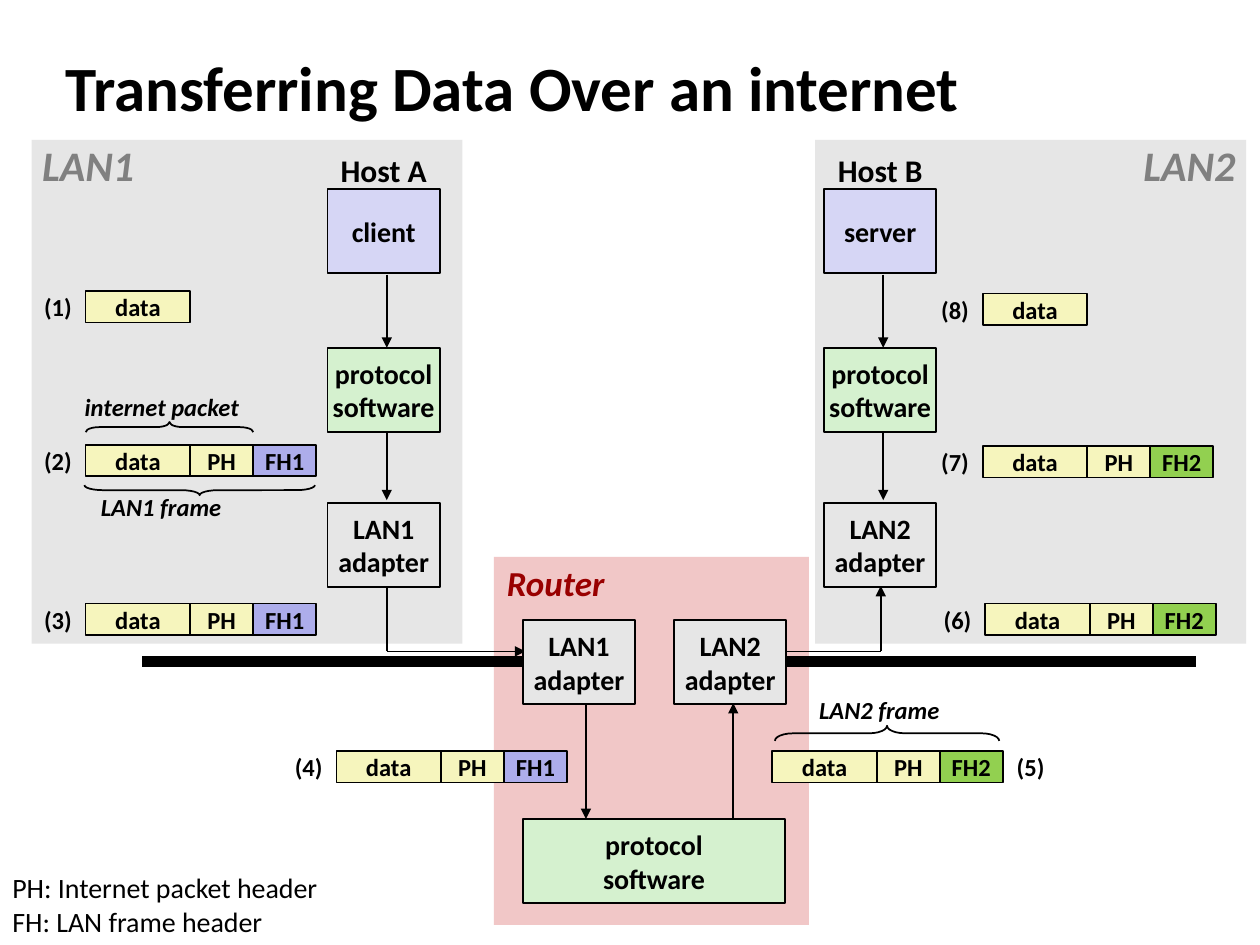
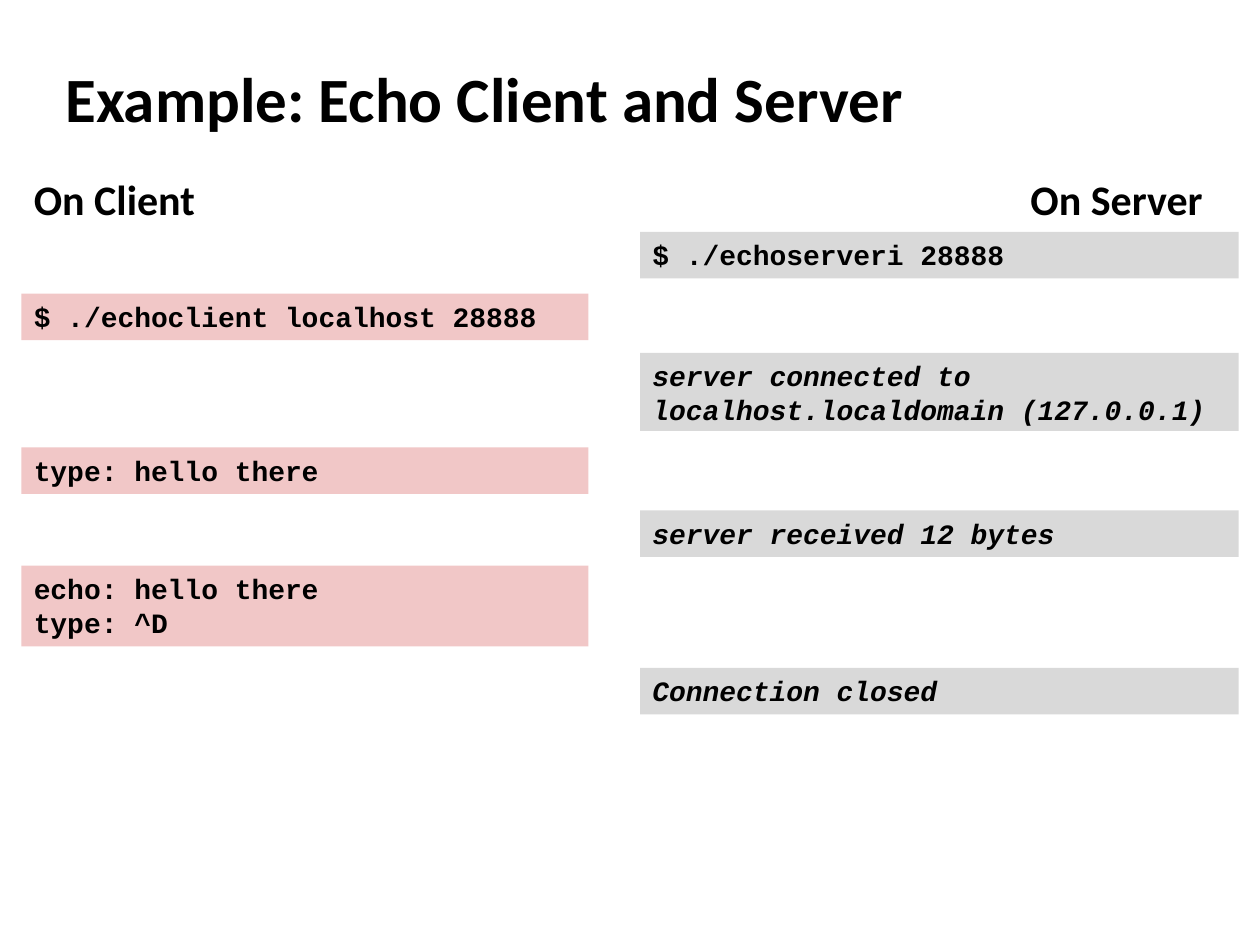
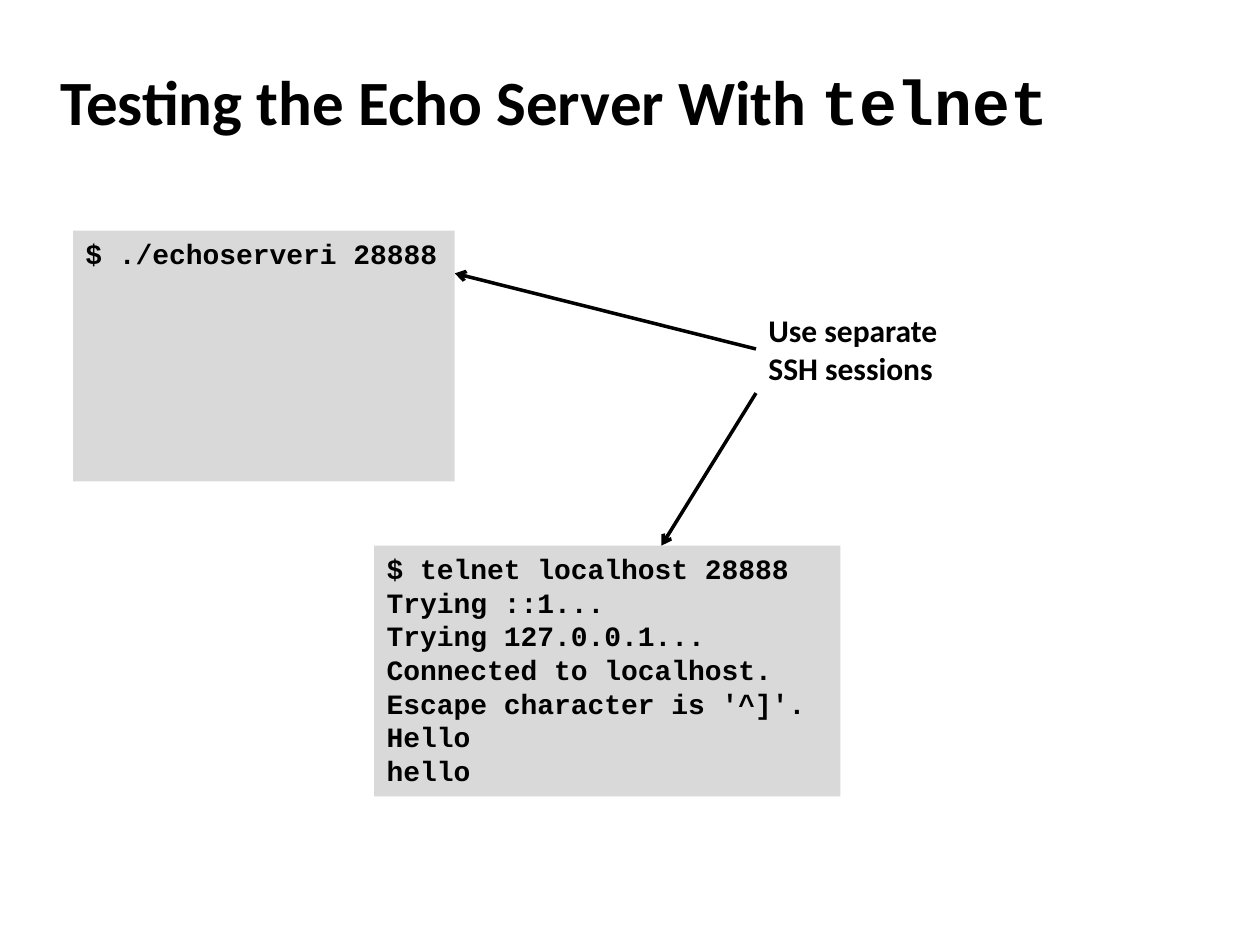
import pptx
import pptx.util
import pptx.dml.color
import pptx.enum.shapes
import pptx.enum.text
import pptx.oxml.ns
import lxml.etree

Inches = pptx.util.Inches
SHAPE = pptx.enum.shapes.MSO_SHAPE
ALIGN = pptx.enum.text.PP_ALIGN
ANCHOR = pptx.enum.text.MSO_ANCHOR

COLORS = {
    "black": "000000", "gray": "808080", "red": "990000",
    "panel": "E6E6E6", "shell": "D9D9D9", "pink": "F1C7C7",
    "app": "D6D6F5", "proto": "D5F1CF", "data": "F6F5BD",
    "FH1": "ADADEB", "FH2": "92D050",
}
SANS, MONO = "Calibri", "Courier New"
BOX_W, BOX_H = 0.89, 0.67
DATA_W, HEAD_W, CELL_H = 0.83, 0.5, 0.25
TAG_W, TAG_H = 0.44, 0.33


def color(name):
    """Look up a palette colour."""
    return pptx.dml.color.RGBColor.from_string(COLORS[name])


def write(shape, text, size, font=SANS, ink="black", bold=True, italic=False,
          align=ALIGN.CENTER, anchor=ANCHOR.MIDDLE, wrap=False):
    """Put text in a shape, one paragraph for each line."""
    frame = shape.text_frame
    frame.word_wrap = wrap
    frame.vertical_anchor = anchor
    frame.text = text
    for para in frame.paragraphs:
        para.alignment = align
        para.font.size = pptx.util.Pt(size)
        para.font.name = font
        para.font.bold = bold
        para.font.italic = italic
        para.font.color.rgb = color(ink)


def label(shapes, x, y, w, h, text, size, **style):
    """Add a text box."""
    box = shapes.add_textbox(Inches(x), Inches(y), Inches(w), Inches(h))
    write(box, text, size, **style)
    return box


def rect(shapes, x, y, w, h, fill, edge=False):
    """Add a filled rectangle, with or without a thin outline."""
    box = shapes.add_shape(SHAPE.RECTANGLE, Inches(x), Inches(y), Inches(w), Inches(h))
    box.shadow.inherit = False
    box.fill.solid()
    box.fill.fore_color.rgb = color(fill)
    if edge:
        box.line.color.rgb = color("black")
        box.line.width = pptx.util.Pt(1)
    else:
        box.line.fill.background()
    return box


def node(shapes, x, y, text, fill, w=BOX_W, h=BOX_H, size=16):
    """Add an outlined box with centred text."""
    write(rect(shapes, x, y, w, h, fill, edge=True), text, size)


def line(shapes, start, end, width=1, head=None):
    """Draw a straight line, with an arrowhead at its end if one is named."""
    link = shapes.add_connector(pptx.enum.shapes.MSO_CONNECTOR.STRAIGHT,
                                *map(Inches, (*start, *end)))
    link.line.color.rgb = color("black")
    link.line.width = pptx.util.Pt(width)
    if head:
        stroke = link.line._get_or_add_ln()
        lxml.etree.SubElement(stroke, pptx.oxml.ns.qn("a:tailEnd"), type=head)
    props = link._element.spPr
    lxml.etree.SubElement(props, pptx.oxml.ns.qn("a:effectLst"))


def brace(shapes, x, y, w, h, turn=90):
    """Lay a brace flat in a box: 90 points up, 270 points down."""
    left, top = x + (w - h) / 2, y - (w - h) / 2
    mark = shapes.add_shape(SHAPE.LEFT_BRACE, Inches(left), Inches(top),
                            Inches(h), Inches(w))
    mark.rotation = turn
    mark.adjustments[0] = 0.08 * w / h
    mark.shadow.inherit = False
    mark.fill.background()
    mark.line.color.rgb = color("black")
    mark.line.width = pptx.util.Pt(1)


def frame(shapes, x, y, step, head=None, right=False):
    """Group a numbered row of data, packet header and frame header."""
    group = shapes.add_group_shape().shapes
    cells = [("data", DATA_W, "data")]
    if head:
        cells += [("PH", HEAD_W, "data"), (head, HEAD_W, head)]
    left = x
    for text, w, fill in cells:
        node(group, left, y, text, fill, w, CELL_H, 14)
        left += w
    tag = left if right else x - TAG_W
    label(group, tag, y - 0.04, TAG_W, TAG_H, f"({step})", 14)
    return group


def host(shapes, x, y, name, app, lan):
    """Stack a host's name, program, protocol software and adapter."""
    label(shapes, x, y, BOX_W, 0.4, name, 18)
    mid = x + 0.47
    line(shapes, (mid, y + 1.03), (mid, y + 1.61), head="triangle")
    line(shapes, (mid, y + 2.28), (mid, y + 2.82), head="triangle")
    node(shapes, x, y + 0.35, app, "app")
    node(shapes, x, y + 1.61, "protocol\nsoftware", "proto")
    node(shapes, x, y + 2.84, f"{lan}\nadapter", "panel")


def router(shapes, x, y):
    """Place the router's two adapters, software and inner arrows."""
    label(shapes, x, y - 0.02, 0.98, 0.44, "Router", 20, ink="red", italic=True)
    top, low = y + 1.16, y + 2.08
    line(shapes, (x + 0.73, top), (x + 0.73, low), head="triangle")
    line(shapes, (x + 1.9, low), (x + 1.9, top), head="triangle")
    node(shapes, x + 0.23, y + 0.5, "LAN1\nadapter", "panel")
    node(shapes, x + 1.43, y + 0.5, "LAN2\nadapter", "panel")
    node(shapes, x + 0.23, low, "protocol\nsoftware", "proto", 2.08)


def shell(shapes, x, y, w, h, text, fill="shell", italic=False):
    """Show terminal text on a plain band."""
    write(rect(shapes, x, y, w, h, fill), text, 16, font=MONO, italic=italic,
          align=ALIGN.LEFT, anchor=ANCHOR.TOP, wrap=True)


def start(deck, x, y, w, title):
    """Add a blank slide with a title; return its shapes and title box."""
    shapes = deck.slides.add_slide(deck.slide_layouts[6]).shapes
    box = label(shapes, x, y, w, 0.63, title, 36, align=ALIGN.LEFT, wrap=True)
    return shapes, box


def transfer(deck):
    """Slide 1: data crosses two LANs through a router."""
    shapes, _ = start(deck, 0.42, 0.37, 8.68, "Transferring Data Over an internet")
    for x, tag, name in ((0.25, 0.23, "LAN1"), (6.47, 8.97, "LAN2")):
        rect(shapes, x, 1.11, 3.42, 4, "panel")
        label(shapes, tag, 1.06, 0.94, 0.5, name, 24, ink="gray", italic=True)
    rect(shapes, 3.92, 4.42, 2.5, 2.92, "pink")

    for x in (1.13, 6.24):
        line(shapes, (x, 5.25), (x + 3.25, 5.25), 6)
    line(shapes, (3.07, 4.65), (3.07, 5.17))
    line(shapes, (3.07, 5.17), (4.17, 5.17), head="triangle")
    line(shapes, (6.24, 5.17), (6.99, 5.17))
    line(shapes, (6.99, 5.17), (6.99, 4.65), head="triangle")

    host(shapes, 2.6, 1.15, "Host A", "client", "LAN1")
    host(shapes, 6.54, 1.15, "Host B", "server", "LAN2")
    router(shapes, 3.92, 4.42)

    frame(shapes, 0.68, 2.31, 1)
    packet = frame(shapes, 0.68, 3.53, 2, "FH1")
    brace(packet, 0.68, 3.35, 1.33, 0.08)
    label(packet, 0.57, 3.06, 1.43, 0.34, "internet packet", 14, italic=True)
    brace(packet, 0.67, 3.85, 1.83, 0.08, 270)
    label(packet, 0.7, 3.85, 1.16, 0.34, "LAN1 frame", 14, italic=True)
    frame(shapes, 0.68, 4.79, 3, "FH1")
    frame(shapes, 2.67, 5.96, 4, "FH1")
    routed = frame(shapes, 6.13, 5.96, 5, "FH2", right=True)
    brace(routed, 6.15, 5.76, 1.78, 0.12)
    label(routed, 6.4, 5.46, 1.16, 0.34, "LAN2 frame", 14, italic=True)
    frame(shapes, 7.82, 4.79, 6, "FH2")
    frame(shapes, 7.8, 3.54, 7, "FH2")
    frame(shapes, 7.8, 2.33, 8)

    label(shapes, 0, 6.86, 2.7, 0.64,
          "PH: Internet packet header\nFH: LAN frame header", 16,
          bold=False, align=ALIGN.LEFT, anchor=ANCHOR.TOP)


def echo(deck):
    """Slide 2: client and server sessions side by side."""
    shapes, _ = start(deck, 0.42, 0.46, 9.08, "Example: Echo Client and Server")
    for x, w, name in ((0.17, 1.49, "On Client"), (8.08, 1.58, "On Server")):
        label(shapes, x, 1.33, w, 0.5, name, 24, align=ALIGN.LEFT, anchor=ANCHOR.TOP)
    for y, h, text in (
            (2.33, 0.37, "$ ./echoclient localhost 28888"),
            (3.55, 0.37, "type: hello there"),
            (4.49, 0.64, "echo: hello there\ntype: ^D")):
        shell(shapes, 0.17, y, 4.5, h, text, "pink")
    for y, h, text in (
            (1.84, 0.37, "$ ./echoserveri 28888"),
            (2.8, 0.62, "server connected to localhost.localdomain (127.0.0.1)"),
            (4.05, 0.37, "server received 12 bytes"),
            (5.3, 0.37, "Connection closed")):
        shell(shapes, 5.08, y, 4.75, h, text, italic=not text.startswith("$"))


def telnet(deck):
    """Slide 3: two sessions that test the server."""
    shapes, title = start(deck, 0.38, 0.48, 9.39, "Testing the Echo Server With ")
    run = title.text_frame.paragraphs[0].add_run()
    run.text = "telnet"
    run.font.name = MONO
    shell(shapes, 0.58, 1.83, 3.03, 1.99, "$ ./echoserveri 28888")
    shell(shapes, 2.97, 4.33, 3.7, 1.99, "\n".join((
        "$ telnet localhost 28888", "Trying ::1...", "Trying 127.0.0.1...",
        "Connected to localhost.", "Escape character is '^]'.",
        "Hello", "hello")))
    label(shapes, 6, 2.42, 1.92, 0.71, "Use separate SSH sessions", 18,
          align=ALIGN.LEFT, anchor=ANCHOR.TOP, wrap=True)
    line(shapes, (6, 2.77), (3.61, 2.17), 2, "arrow")
    line(shapes, (6, 3.12), (5.25, 4.33), 2, "arrow")


deck = pptx.Presentation()
deck.slide_width, deck.slide_height = Inches(10), Inches(7.5)
transfer(deck)
echo(deck)
telnet(deck)
deck.save("out.pptx")
